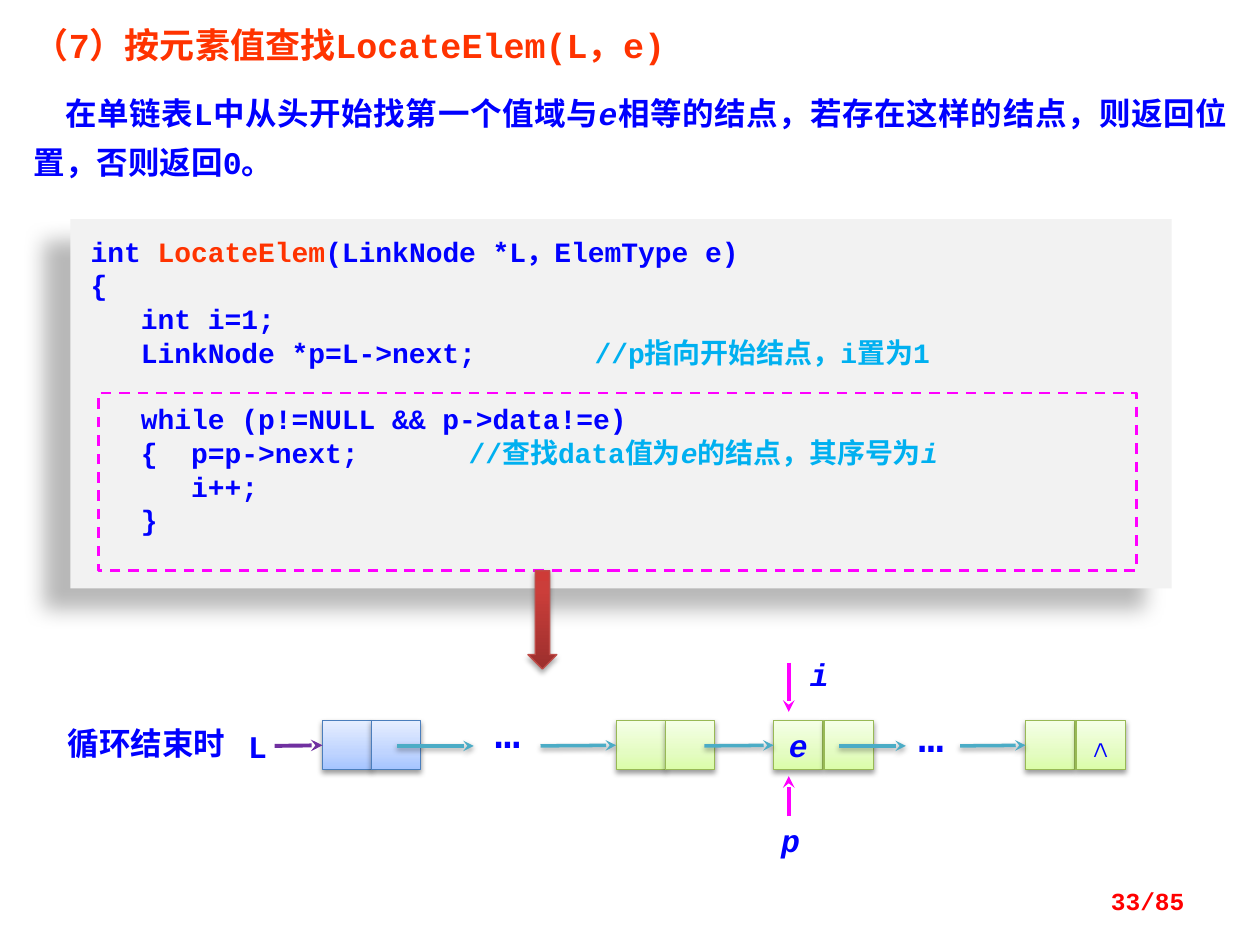
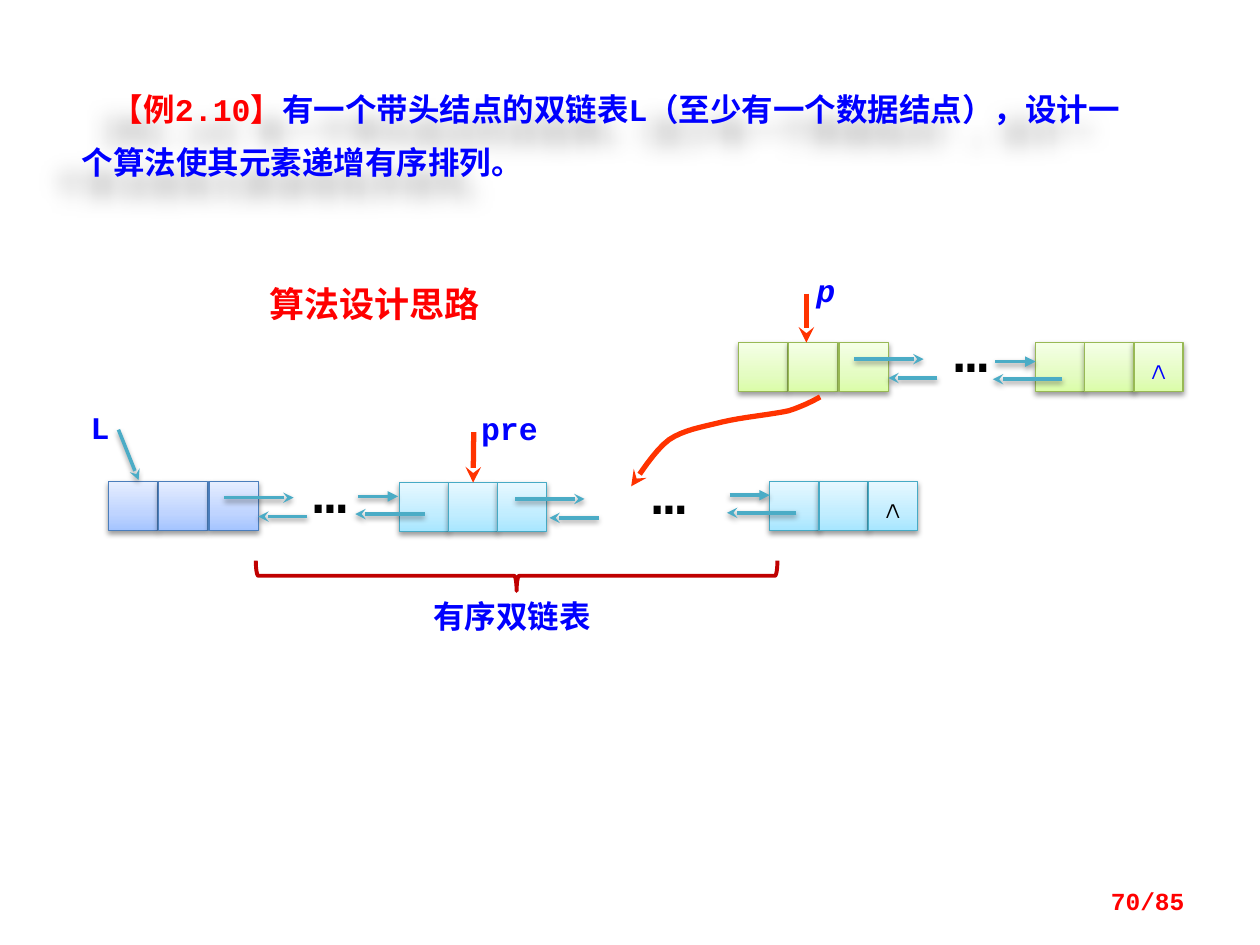
from copy import deepcopy

from lxml import etree
from pptx import Presentation
from pptx import util as u
from pptx.dml.color import RGBColor
from pptx.enum import dml, shapes, text
from pptx.oxml.ns import qn

COLORS = {
    "blue": "0000FF", "red": "FF0000", "orange": "FF3300", "black": "000000",
    "comment": "00B0F0", "magenta": "FF00FF", "purple": "7030A0",
    "link": "4BACC6", "brace": "C00000", "panel": "F2F2F2",
}
STYLES = {
    "head": (("A4C4FF", "BFD4FF", "E6EEFF"), "4B7EBC"),
    "green": (("DAFDA7", "E4FCC2", "F5FFE7"), "98B955"),
    "cyan": (("A7E6FF", "C1EDFF", "E7F8FF"), "46AAC5"),
    "arrow": (("9C2F2D", "CB3E3A", "CE3B37"), "BF4C48"),
}
CODE_FONT, CJK_FONT = "Courier New", "Noto Sans CJK SC"
CELL = 0.39
SOFT_SHADOW = (38, 3.1, 1.6, 90)
ARROW_SHADOW = (35, 3.1, 1.8, 90)
WIDE_SHADOW = (28, 11.8, 19.7, 141)


def rgb(name):
    """Return a colour by its name in COLORS or by its hex string."""
    return RGBColor.from_string(COLORS.get(name, name))


def box(*lengths):
    """Turn numbers into inches."""
    return [u.Inches(n) for n in lengths]


def set_effects(sp, shadow=None):
    """Replace inherited effects by an outer shadow or by none."""
    sp_pr = sp._element.spPr
    effects = etree.SubElement(sp_pr, qn("a:effectLst"))
    if shadow:
        alpha, blur, dist, angle = shadow
        outer = etree.SubElement(
            effects, qn("a:outerShdw"), blurRad=str(u.Pt(blur)), dist=str(u.Pt(dist)),
            dir=str(angle * 60000), algn="ctr", rotWithShape="0")
        color = etree.SubElement(outer, qn("a:srgbClr"), val=COLORS["black"])
        etree.SubElement(color, qn("a:alpha"), val=str(alpha * 1000))


def set_gradient(sp, colors, middle):
    """Fill a shape from bottom to top with three colours."""
    sp.fill.gradient()
    sp.fill.gradient_angle = 90
    stops = sp._element.spPr.find(".//" + qn("a:gsLst"))
    stops.append(deepcopy(stops[0]))
    for stop, color, position in zip(sp.fill.gradient_stops, colors, (0, middle, 1)):
        stop.color.rgb = rgb(color)
        stop.position = position


def set_line(sp, color, width, tail=None):
    """Set the outline and, if named, the arrowhead at its end."""
    sp.line.color.rgb = rgb(color)
    sp.line.width = u.Pt(width)
    if tail:
        etree.SubElement(sp.line._get_or_add_ln(), qn("a:tailEnd"), type=tail)


def add_runs(p, runs, size, font=CODE_FONT):
    """Add (text, colour, italic) runs to a paragraph."""
    for words, color, *italic in runs:
        r = p.add_run()
        r.text = words
        r.font.name, r.font.size, r.font.bold = font, u.Pt(size), True
        r.font.italic = bool(italic)
        r.font.color.rgb = rgb(color)
        if any(c >= "一" for c in words):
            etree.SubElement(r.font._element, qn("a:ea"), typeface=CJK_FONT)


def add_text(s, area, runs, size=18, font=CODE_FONT, align=text.PP_ALIGN.LEFT):
    """Add a wrapping text box with one paragraph."""
    sp = s.shapes.add_textbox(*box(*area))
    tf = sp.text_frame
    tf.word_wrap = True
    p = tf.paragraphs[0]
    p.alignment = align
    add_runs(p, runs, size, font)
    return sp


def add_label(s, x, y, width, words, italic=False):
    """Add a blue pointer name."""
    add_text(s, (x, y, width, 0.4), [(words, "blue", True) if italic else (words, "blue")])


def add_dots(s, x, y, width, size, color):
    """Add an ellipsis between two nodes."""
    add_text(s, (x, y, width, 0.5), [("…", color)], size)


def add_shape(s, kind, area, style=None, middle=0.35, shadow=None):
    """Add a preset shape, with a gradient style or unfilled."""
    sp = s.shapes.add_shape(kind, *box(*area))
    if style:
        colors, line = STYLES[style]
        set_gradient(sp, colors, middle)
        set_line(sp, line, 0.75)
        set_effects(sp, shadow)
    else:
        sp.fill.background()
        sp.shadow.inherit = False
    return sp


def add_node(s, x, y, style, cells, pitch=CELL, color="blue"):
    """Add a list node with one square per entry of cells and return the squares."""
    squares = []
    for i, words in enumerate(cells):
        sp = add_shape(s, shapes.MSO_SHAPE.RECTANGLE, (x + i * pitch, y, CELL, CELL),
                       style, shadow=SOFT_SHADOW)
        if words:
            tf = sp.text_frame
            tf.word_wrap = False
            tf.vertical_anchor = text.MSO_ANCHOR.MIDDLE
            p = tf.paragraphs[0]
            p.alignment = text.PP_ALIGN.CENTER
            add_runs(p, [(words, color, True) if words == "e" else (words, color)], 18)
        squares.append(sp)
    return squares


def add_arrow(s, x1, y1, x2, y2, color="link", width=2, tail="stealth", target=None, side=1):
    """Add a straight arrow, joined to a side of target if one is given."""
    sp = s.shapes.add_connector(shapes.MSO_CONNECTOR.STRAIGHT, *box(x1, y1, x2, y2))
    if target:
        sp.end_connect(target, side)
    set_line(sp, color, width, tail)
    set_effects(sp, SOFT_SHADOW if color == "link" else None)


def add_footer(s, number):
    """Add the page number at the bottom right."""
    sp = add_text(s, (7.17, 6.95, 2.33, 0.4), [(f"{number}/85", "red")], 14,
                  align=text.PP_ALIGN.RIGHT)
    sp.text_frame.vertical_anchor = text.MSO_ANCHOR.MIDDLE


def indent_first_line(p, inches):
    """Indent the first line of a paragraph."""
    p._p.get_or_add_pPr().set("indent", str(u.Inches(inches)))


def add_task(s, area):
    """Add the heading and the description of the search."""
    sp = add_text(s, area, [("（7）按元素值查找LocateElem(L，e)", "orange")], 20,
                  align=text.PP_ALIGN.JUSTIFY)
    first = sp.text_frame.paragraphs[0]
    p = sp.text_frame.add_paragraph()
    p.alignment = text.PP_ALIGN.JUSTIFY
    first.line_spacing = p.line_spacing = u.Pt(28)
    p.space_before = u.Pt(10)
    indent_first_line(p, 0.25)
    add_runs(p, [("在单链表L中从头开始找第一个值域与", "blue"), ("e", "blue", True),
                 ("相等的结点，若存在这样的结点，则返回位置，否则返回0。", "blue")], 18)


def add_code(s, x, y):
    """Add the code panel, with its loop framed and an arrow leading down."""
    lines = [
        [("int ", "blue"), ("LocateElem", "orange"), ("(LinkNode *L，ElemType e)", "blue")],
        [("{", "blue")],
        [("   int i=1;", "blue")],
        [("   LinkNode *p=L->next;\t\t", "blue"), ("//p指向开始结点，i置为1", "comment")],
        [("   while (p!=NULL && p->data!=e)", "blue")],
        [("   {  p=p->next;\t\t", "blue"), ("//查找data值为", "comment"),
         ("e", "comment", True), ("的结点，其序号为", "comment"), ("i", "comment", True)],
        [("      i++;", "blue")],
        [("   }", "blue")],
    ]
    sp = s.shapes.add_shape(shapes.MSO_SHAPE.RECTANGLE, *box(x, y, 8.74, 2.93))
    sp.fill.solid()
    sp.fill.fore_color.rgb = rgb("panel")
    sp.line.fill.background()
    set_effects(sp, WIDE_SHADOW)
    tf = sp.text_frame
    tf.word_wrap = True
    tf.vertical_anchor = text.MSO_ANCHOR.TOP
    tf.margin_left = tf.margin_right = u.Inches(0.16)
    tf.margin_top = tf.margin_bottom = u.Inches(0.12)
    for i, runs in enumerate(lines):
        p = tf.add_paragraph() if i else tf.paragraphs[0]
        p.alignment = text.PP_ALIGN.LEFT
        if "while" in runs[0][0]:
            p.space_before = u.Pt(19)
        add_runs(p, runs, 16)
    frame = add_shape(s, shapes.MSO_SHAPE.RECTANGLE, (x + 0.22, y + 1.38, 8.24, 1.41))
    set_line(frame, "magenta", 1.5)
    frame.line.dash_style = dml.MSO_LINE.DASH
    add_shape(s, shapes.MSO_SHAPE.DOWN_ARROW, (x + 3.63, y + 2.79, 0.23, 0.78),
              "arrow", 0.8, ARROW_SHADOW)


def add_search_result(s, x, y):
    """Add the singly linked list as it stands after the loop."""
    mid = y + 0.2
    add_label(s, x, y - 0.02, 1.65, "循环结束时")
    add_label(s, x + 1.43, y, 0.29, "L")
    head = add_node(s, x + 2.12, y, "head", ["", ""])
    before = add_node(s, x + 4.45, y, "green", ["", ""])
    found = add_node(s, x + 5.7, y, "green", ["e", ""], 0.4)
    last = add_node(s, x + 7.7, y, "green", ["", "∧"], 0.4)
    add_arrow(s, x + 1.74, mid, x + 2.12, mid, "purple", 2.25, target=head[0])
    for start, end, node in ((2.71, 3.32, None), (3.85, 4.45, before), (5.15, 5.7, found),
                             (6.22, 6.75, None), (7.18, 7.7, last)):
        add_arrow(s, x + start, mid, x + end, mid, target=node and node[0])
    add_dots(s, x + 3.39, y - 0.16, 0.79, 24, "blue")
    add_dots(s, x + 6.75, y - 0.13, 0.79, 24, "blue")
    for start, end in ((-0.46, -0.07), (0.76, 0.44)):
        add_arrow(s, x + 5.82, y + start, x + 5.82, y + end, "magenta", 2.25)
    add_label(s, x + 5.89, y - 0.57, 0.39, "i", True)
    add_label(s, x + 5.66, y + 0.75, 0.39, "p", True)


def add_example(s, area):
    """Add the statement of the example."""
    sp = add_text(s, area, [
        ("【例2.10】", "red"),
        ("有一个带头结点的双链表L（至少有一个数据结点），设计一个算法使其元素递增有序排列。", "blue")])
    p = sp.text_frame.paragraphs[0]
    p.line_spacing = u.Pt(30)
    indent_first_line(p, 0.24)
    set_effects(sp, WIDE_SHADOW)


def link_right(s, x, y):
    """Add the two links to the right of the three-cell node at x, y."""
    add_arrow(s, x + 0.92, y + 0.13, x + 1.47, y + 0.13)
    add_arrow(s, x + 1.58, y + 0.28, x + 1.19, y + 0.28)


def link_left(s, x, y):
    """Add the two links to the left of the three-cell node at x, y."""
    add_arrow(s, x - 0.32, y + 0.12, x, y + 0.12, tail="triangle")
    add_arrow(s, x + 0.21, y + 0.26, x - 0.34, y + 0.26)


def add_curve(s, x, y, start, segments, steps=8):
    """Add a curved arrow through cubic segments, given relative to x, y."""
    points, p0 = [], start
    for p1, p2, p3 in segments:
        for t in (i / steps for i in range(1, steps + 1)):
            weights = ((1 - t) ** 3, 3 * t * (1 - t) ** 2, 3 * t * t * (1 - t), t ** 3)
            points.append([sum(w * p[k] for w, p in zip(weights, (p0, p1, p2, p3)))
                           for k in (0, 1)])
        p0 = p3
    fb = s.shapes.build_freeform(*box(x + start[0], y + start[1]))
    fb.add_line_segments([box(x + px, y + py) for px, py in points], close=False)
    sp = fb.convert_to_shape()
    sp.fill.background()
    set_line(sp, "orange", 3, "stealth")
    set_effects(sp)


def add_sorted_list(s, x, y):
    """Add the sorted doubly linked list with its pointers and brace."""
    add_node(s, x, y, "head", [""] * 3, 0.4)
    pre = add_node(s, x + 2.31, y + 0.01, "cyan", [""] * 3)
    add_node(s, x + 5.25, y, "cyan", ["", "", "∧"], color="black")
    link_right(s, x, y)
    link_left(s, x + 2.3, y)
    link_right(s, x + 2.31, y + 0.01)
    link_left(s, x + 5.25, y - 0.01)
    add_dots(s, x + 1.53, y - 0.24, 0.48, 32, "black")
    add_dots(s, x + 4.22, y - 0.23, 0.54, 32, "black")
    add_label(s, x - 0.24, y - 0.63, 0.42, "L")
    add_arrow(s, x + 0.08, y - 0.41, x + 0.24, y - 0.01)
    add_label(s, x + 2.86, y - 0.62, 0.77, "pre")
    add_arrow(s, x + 2.9, y - 0.39, x + 2.9, y + 0.01, "orange", 3, target=pre[1], side=0)
    brace = add_shape(s, shapes.MSO_SHAPE.RIGHT_BRACE, (x + 3.12, y - 1.32, 0.24, 4.14))
    brace.rotation = 90
    set_line(brace, "brace", 2.25)
    add_text(s, (x + 2.19, y + 0.87, 2.03, 0.4), [("有序双链表", "blue")], 18, CJK_FONT,
             text.PP_ALIGN.CENTER)


def add_remaining_list(s, x, y):
    """Add the nodes still to be inserted and the arrow that moves p."""
    add_node(s, x, y, "green", [""] * 3, 0.4)
    add_node(s, x + 2.36, y, "green", ["", "", "∧"])
    link_right(s, x, y)
    link_left(s, x + 2.36, y + 0.03)
    add_dots(s, x + 1.62, y - 0.26, 0.79, 32, "black")
    add_label(s, x + 0.52, y - 0.62, 0.39, "p", True)
    add_arrow(s, x + 0.54, y - 0.39, x + 0.54, y, "orange", 3)
    add_curve(s, x, y, (0.65, 0.43), [
        ((0.65, 0.43), (0.53, 0.5), (0.4, 0.54)),
        ((0.27, 0.57), (0.03, 0.59), (-0.13, 0.63)),
        ((-0.29, 0.67), (-0.43, 0.69), (-0.55, 0.77)),
        ((-0.67, 0.86), (-0.79, 1.06), (-0.85, 1.14))])


def build_search_slide(s):
    """Build the slide on searching by value."""
    add_task(s, (0.17, 0.08, 9.67, 1.43))
    add_code(s, 0.56, 1.74)
    add_search_result(s, 0.44, 5.72)
    add_footer(s, 33)


def build_sort_slide(s):
    """Build the slide on sorting a doubly linked list."""
    add_example(s, (0.55, 0.55, 8.59, 0.9))
    add_text(s, (2.04, 2.19, 3.07, 0.44), [("算法设计思路", "red")], 20, CJK_FONT)
    add_sorted_list(s, 0.86, 3.82)
    add_remaining_list(s, 5.86, 2.72)
    add_footer(s, 70)


def main():
    """Build and save the presentation."""
    prs = Presentation()
    prs.slide_width, prs.slide_height = box(10, 7.5)
    for build in (build_search_slide, build_sort_slide):
        build(prs.slides.add_slide(prs.slide_layouts[6]))
    prs.save("out.pptx")


if __name__ == "__main__":
    main()
